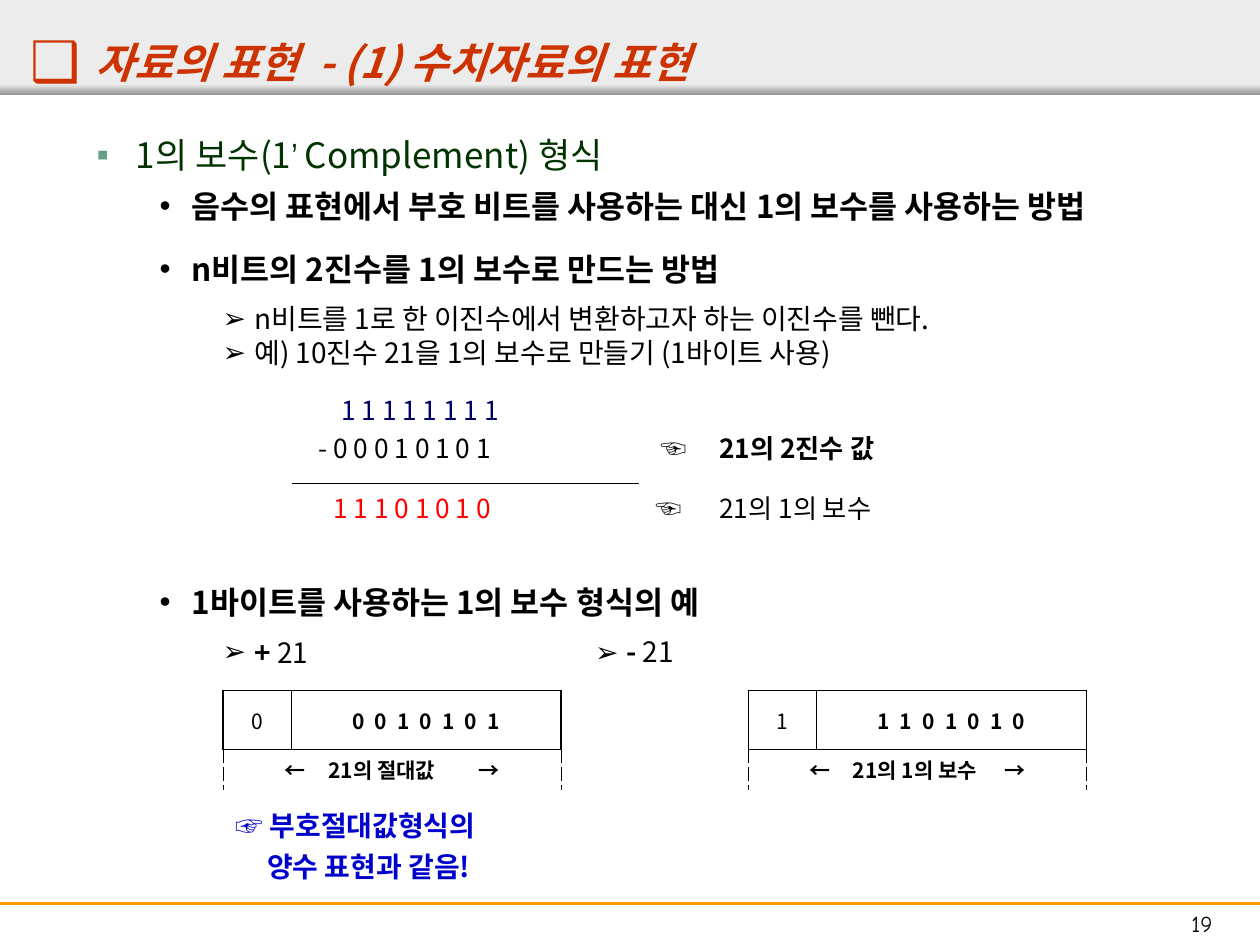
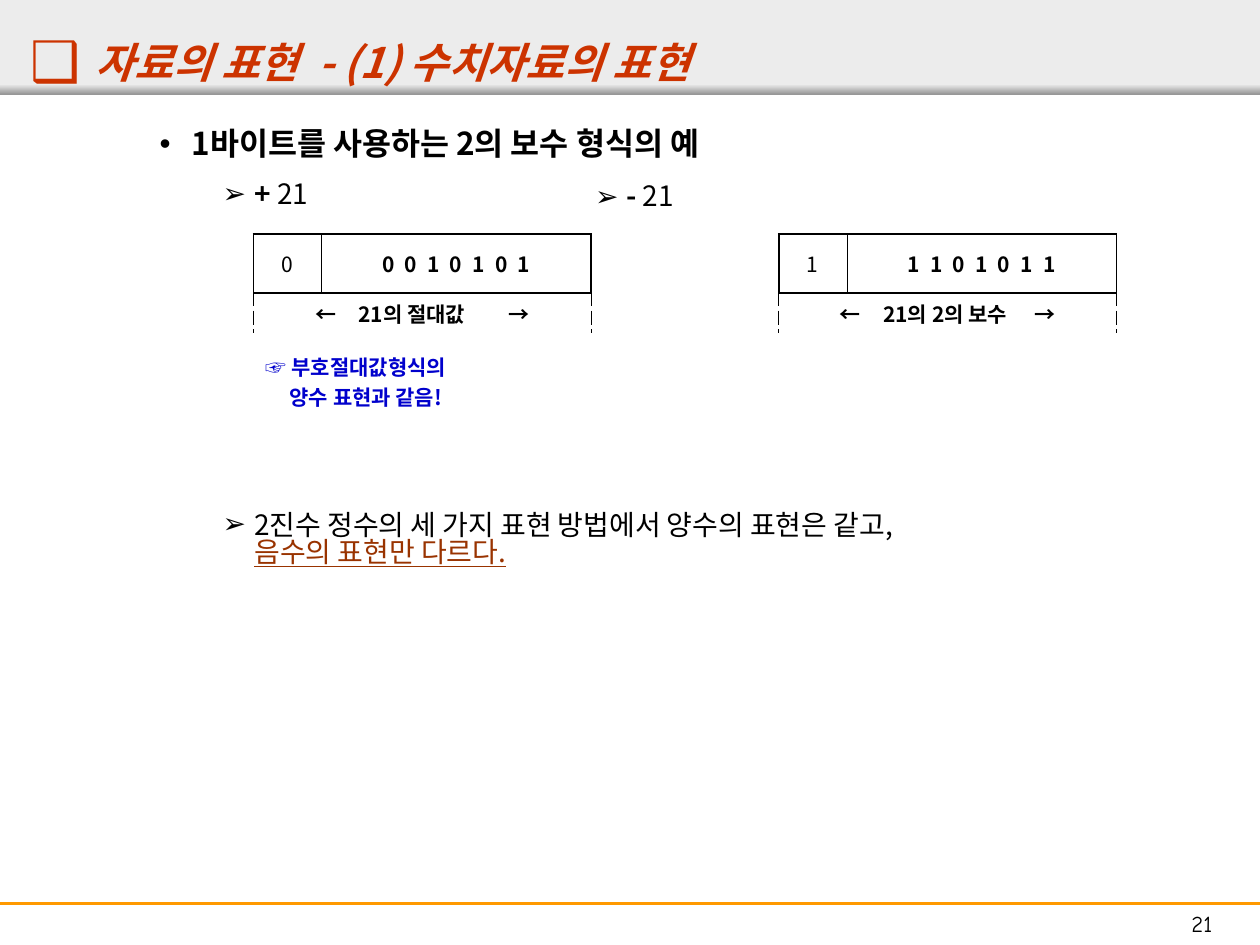
from dataclasses import dataclass

from lxml.etree import SubElement
from pptx import Presentation
from pptx.dml.color import RGBColor
from pptx.enum.shapes import MSO_CONNECTOR as Connector, MSO_SHAPE as Shape
from pptx.enum.text import MSO_ANCHOR as Anchor, MSO_AUTO_SIZE as AutoSize, PP_ALIGN as Align
from pptx.oxml.ns import qn
from pptx.util import Cm, Pt


@dataclass(frozen=True)
class Theme:
    font: str = "Noto Sans CJK KR"
    symbol_font: str = "Arial"
    quote_font: str = "Arial Narrow"
    number_font: str = "Comic Neue"
    black: str = "000000"
    title: str = "CC3300"
    topic: str = "003300"
    topic_bullet: str = "669E86"
    ones: str = "000066"
    result: str = "FF0000"
    callout: str = "0000CC"
    stress: str = "993300"
    band: str = "ECECEC"
    band_edge: str = "979797"
    footer_line: str = "FF9900"
    title_size: int = 24
    topic_size: int = 20
    point_size: int = 18
    detail_size: int = 16
    sum_size: int = 15
    bits_size: int = 12
    number_size: int = 13


THEME = Theme()
NO_GRID_STYLE = "{2D5ABB26-0587-4C30-8999-92F81FD0307C}"

# A span is a text, or a text with the run settings that differ from its paragraph.
TITLE = ["자료의 표현", (" ", {"track": 6}), "- (1) 수치자료의 표현"]
PLUS = [("+", {"bold": True}), " 21"]
MINUS = [("➢ ", {"font": THEME.symbol_font}), ("-", {"bold": True}), " 21"]
CALLOUT = ["☞ 부호절대값형식의", "양수 표현과 같음!"]
ABSOLUTE = ("0", "0 0 1 0 1 0 1", "21의 절대값", 22)

# level, spans, extra space before in points
SLIDES = [
    {
        "number": 19,
        "body": [
            ("topic", ["1의 보수(1", ("’ ", {"font": THEME.quote_font}), "Complement) 형식"], 0),
            ("point", ["음수의 표현에서 부호 비트를 사용하는 대신 1의 보수를 사용하는 방법"], 0),
            ("point", ["n비트의 2진수를 1의 보수로 만드는 방법"], 0),
            ("detail", ["n비트를 1로 한 이진수에서 변환하고자 하는 이진수를 뺀다."], 0),
            ("detail", ["예) 10진수 21을 1의 보수로 만들기 (1바이트 사용)"], 0),
            ("point", ["1바이트를 사용하는 1의 보수 형식의 예"], 115.5),
            ("detail", PLUS, 0),
        ],
        "subtraction": True,
        "bytes_at": (4.5, 13.92),
        "bytes": [ABSOLUTE, ("1", "1 1 0 1 0 1 0", "21의 1의 보수", 13)],
        "callout_size": THEME.detail_size,
    },
    {
        "number": 21,
        "body": [
            ("point", ["1바이트를 사용하는 2의 보수 형식의 예"], 0),
            ("detail", PLUS, 0),
            ("detail", ["2진수 정수의 세 가지 표현 방법에서 양수의 표현은 같고,", "\n",
                        ("음수의 표현만 다르다.", {"color": THEME.stress, "underline": True})], 169.5),
        ],
        "subtraction": False,
        "bytes_at": (5.11, 4.72),
        "bytes": [ABSOLUTE, ("1", "1 1 0 1 0 1 1", "21의 2의 보수", 13)],
        "callout_size": THEME.bits_size,
    },
]

LEVELS = {
    "topic": dict(depth=0, left=2.06, hang=0.79, line=31, before=5, after=0, bullet="▪",
                  bullet_color=THEME.topic_bullet,
                  style=dict(size=THEME.topic_size, color=THEME.topic)),
    "point": dict(depth=1, left=3.18, hang=0.64, line=23.5, before=4.5, after=8, bullet="•",
                  bullet_color=THEME.black, style=dict(size=THEME.point_size, bold=True)),
    "detail": dict(depth=2, left=4.45, hang=0.64, line=15.5, before=4, after=0, bullet="➢",
                   bullet_color=THEME.black, style=dict(size=THEME.detail_size)),
}


def rgb(color):
    return RGBColor.from_string(color)


def write(para, spans, **style):
    """Fill a paragraph with spans; track is extra letter spacing in points."""
    for item in spans:
        text, changes = (item, {}) if isinstance(item, str) else item
        if text == "\n":
            para.add_line_break()
            continue
        look = {**style, **changes}
        span = para.add_run()
        span.text = text
        font = span.font
        font.name = look.get("font", THEME.font)
        font.size = Pt(look["size"])
        font.bold = look.get("bold", False)
        font.italic = look.get("italic", False)
        font.underline = look.get("underline", False)
        font.color.rgb = rgb(look.get("color", THEME.black))
        properties = font._element
        SubElement(properties, qn("a:ea")).set("typeface", font.name)
        if "track" in look:
            properties.set("spc", str(round(look["track"] * 100)))


def indent(para, left, hang=0):
    properties = para._p.get_or_add_pPr()
    properties.set("marL", str(Cm(left)))
    properties.set("indent", str(-Cm(hang)))
    return properties


def add_bullet(para, left, hang, char, color, percent=100):
    properties = indent(para, left, hang)
    SubElement(SubElement(properties, qn("a:buClr")), qn("a:srgbClr")).set("val", color)
    SubElement(properties, qn("a:buSzPct")).set("val", str(percent * 1000))
    SubElement(properties, qn("a:buFont")).set("typeface", THEME.symbol_font)
    SubElement(properties, qn("a:buChar")).set("char", char)


def place(shape, left, top, width, height):
    shape.left, shape.top, shape.width, shape.height = map(Cm, (left, top, width, height))


def set_margins(holder, left=0.25, top=0.13, right=0.25, bottom=0.13):
    holder.margin_left, holder.margin_top = Cm(left), Cm(top)
    holder.margin_right, holder.margin_bottom = Cm(right), Cm(bottom)


def add_box(slide, left, top, width, height):
    frame = slide.shapes.add_textbox(*map(Cm, (left, top, width, height))).text_frame
    frame.word_wrap = True
    set_margins(frame)
    return frame


def dress_layout(layout, slide):
    """Build the bands and the footer line on a slide, then hand them to its layout."""
    for holder in list(layout.placeholders)[2:]:
        holder.element.getparent().remove(holder.element)
    band = slide.shapes.add_shape(Shape.RECTANGLE, 0, 0, Cm(25.4), Cm(1.9))
    band.fill.solid()
    band.fill.fore_color.rgb = rgb(THEME.band)
    edge = slide.shapes.add_shape(Shape.RECTANGLE, 0, Cm(1.7), Cm(25.4), Cm(0.2))
    edge.fill.gradient()
    edge.fill.gradient_angle = 270
    for stop, color in zip(edge.fill.gradient_stops, (THEME.band, THEME.band_edge)):
        stop.color.rgb = rgb(color)
    for shape in (band, edge):
        shape.line.fill.background()
        shape.shadow.inherit = False
    rule = slide.shapes.add_connector(Connector.STRAIGHT, 0, Cm(18.21), Cm(25.4), Cm(18.21))
    rule.line.color.rgb = rgb(THEME.footer_line)
    rule.line.width = Pt(1.5)
    SubElement(rule.element.spPr, qn("a:effectLst"))
    for position, shape in enumerate((band, edge, rule), start=2):
        layout.shapes.element.insert(position, shape.element)


def add_title(slide):
    title = slide.shapes.title
    place(title, 0.36, 0.36, 22.86, 1.17)
    frame = title.text_frame
    frame.auto_size = AutoSize.NONE
    frame.vertical_anchor = Anchor.TOP
    set_margins(frame, top=0)
    para = frame.paragraphs[0]
    add_bullet(para, 1.32, 1.32, "❑", THEME.title, 133)
    para.alignment = Align.LEFT
    para.line_spacing = Pt(39.5)
    write(para, TITLE, size=THEME.title_size, color=THEME.title, bold=True, italic=True)


def add_body(slide, items):
    body = slide.placeholders[1]
    place(body, 0.43, 2.31, 24, 15.7)
    frame = body.text_frame
    frame.auto_size = AutoSize.NONE
    set_margins(frame)
    for number, (name, spans, extra) in enumerate(items):
        level = LEVELS[name]
        para = frame.add_paragraph() if number else frame.paragraphs[0]
        para.level = level["depth"]
        add_bullet(para, level["left"], level["hang"], level["bullet"], level["bullet_color"])
        para.line_spacing = Pt(level["line"])
        para.space_before = Pt(level["before"] + extra if number else 0)
        para.space_after = Pt(level["after"])
        write(para, spans, **level["style"])


def add_grid(slide, left, top, widths, heights):
    size = map(Cm, (left, top, sum(widths), sum(heights)))
    graphic = slide.shapes.add_table(len(heights), len(widths), *size)
    graphic.element.find(".//" + qn("a:tableStyleId")).text = NO_GRID_STYLE
    grid = graphic.table
    grid.first_row = grid.horz_banding = False
    for column, width in zip(grid.columns, widths):
        column.width = Cm(width)
    for row, height in zip(grid.rows, heights):
        row.height = Cm(height)
    for cell in grid.iter_cells():
        cell.vertical_anchor = Anchor.MIDDLE
        set_margins(cell, top=0, bottom=0)
        cell.fill.background()
    return grid


def add_borders(cell, dash="solid", **widths):
    """Draw cell borders; widths are points keyed by side: L, R, T, B."""
    properties = cell._tc.get_or_add_tcPr()
    sides = [side for side in "LRTB" if side in widths]
    for position, side in enumerate(sides):
        line = properties.makeelement(qn(f"a:ln{side}"), {"w": str(Pt(widths[side]))})
        fill = SubElement(line, qn("a:solidFill"))
        SubElement(fill, qn("a:srgbClr")).set("val", THEME.black)
        SubElement(line, qn("a:prstDash")).set("val", dash)
        properties.insert(position, line)


def add_subtraction(slide):
    grid = add_grid(slide, 5.89, 7.52, (6.99, 1.22, 5.61), (2.21, 0.99))
    # row, left indent, digits, colour
    digits = [(0, 0.74, "1 1 1 1 1 1 1 1", THEME.ones),
              (0, 0.28, "- 0 0 0 1 0 1 0 1", THEME.black),
              (1, 0.58, "1 1 1 0 1 0 1 0", THEME.result)]
    for row, left, text, color in digits:
        frame = grid.cell(row, 0).text_frame
        para = frame.paragraphs[0]
        if para.runs:
            para = frame.add_paragraph()
        indent(para, left)
        para.line_spacing = Pt(21.7)
        write(para, [text], size=THEME.sum_size, color=color)
    add_borders(grid.cell(0, 0), B=0.11)
    add_borders(grid.cell(1, 0), T=0.11)
    notes = [("21의 2진수 값", True, 0.25), ("21의 1의 보수", False, 0.36)]
    for row, (text, bold, hand_margin) in enumerate(notes):
        hand, note = grid.cell(row, 1), grid.cell(row, 2)
        hand.margin_right = Cm(hand_margin)
        note.margin_left = Cm(0.4)
        for cell, words, strong in ((hand, "☜", True), (note, text, bold)):
            para = cell.text_frame.paragraphs[0]
            para.line_spacing = Pt(21.7)
            write(para, [words], size=THEME.sum_size, bold=strong)
            if row == 0:
                cell.vertical_anchor = Anchor.BOTTOM
                cell.margin_bottom = Cm(0.33)
        hand.text_frame.paragraphs[0].alignment = Align.RIGHT


def add_byte(slide, left, top, sign, bits, meaning, arrow_gap):
    grid = add_grid(slide, left, top, (1.37, 5.44), (1.19, 0.81))
    sign_cell, bits_cell = grid.cell(0, 0), grid.cell(0, 1)
    note, covered = grid.cell(1, 0), grid.cell(1, 1)
    note.merge(covered)
    add_borders(sign_cell, L=1.08, R=0.11, T=1.08, B=1.08)
    add_borders(bits_cell, L=0.11, R=1.08, T=1.08, B=1.08)
    add_borders(note, dash="dash", L=0.45, R=0.45)
    add_borders(covered, dash="dash", R=0.45)
    label = ["←", (" ", {"track": 10}), meaning, (" ", {"track": arrow_gap}), "→"]
    contents = [(sign_cell, [sign], {}),
                (bits_cell, [bits], {"bold": True, "track": 1.55}),
                (note, label, {"bold": True})]
    for cell, spans, style in contents:
        para = cell.text_frame.paragraphs[0]
        para.alignment = Align.CENTER
        write(para, spans, size=THEME.bits_size, **style)


def add_byte_example(slide, content):
    left, top = content["bytes_at"]
    minus = add_box(slide, 12, top - 1.13, 4, 0.7)
    set_margins(minus, 0, 0, 0, 0)
    minus.vertical_anchor = Anchor.MIDDLE
    write(minus.paragraphs[0], MINUS, size=THEME.detail_size)
    for number, byte in enumerate(content["bytes"]):
        add_byte(slide, left + number * 10.59, top, *byte)
    size = content["callout_size"]
    frame = add_box(slide, left, top + 2.4, 6.81, size * 0.1)
    for number, text in enumerate(CALLOUT):
        para = frame.add_paragraph() if number else frame.paragraphs[0]
        indent(para, number * size * 0.04)
        para.line_spacing = Pt(size * 0.94)
        para.space_before = Pt(number * size * 0.52)
        write(para, [text], size=size, color=THEME.callout, bold=True)


def add_number(slide, number):
    para = add_box(slide, 23.06, 18.21, 2.34, 0.81).paragraphs[0]
    para.alignment = Align.CENTER
    write(para, [str(number)], size=THEME.number_size, font=THEME.number_font)


def main():
    deck = Presentation()
    deck.slide_width, deck.slide_height = Cm(25.4), Cm(19.05)
    layout = deck.slide_layouts[1]
    for position, content in enumerate(SLIDES):
        slide = deck.slides.add_slide(layout)
        if position == 0:
            dress_layout(layout, slide)
        add_title(slide)
        add_body(slide, content["body"])
        if content["subtraction"]:
            add_subtraction(slide)
        add_byte_example(slide, content)
        add_number(slide, content["number"])
    deck.save("out.pptx")


if __name__ == "__main__":
    main()
